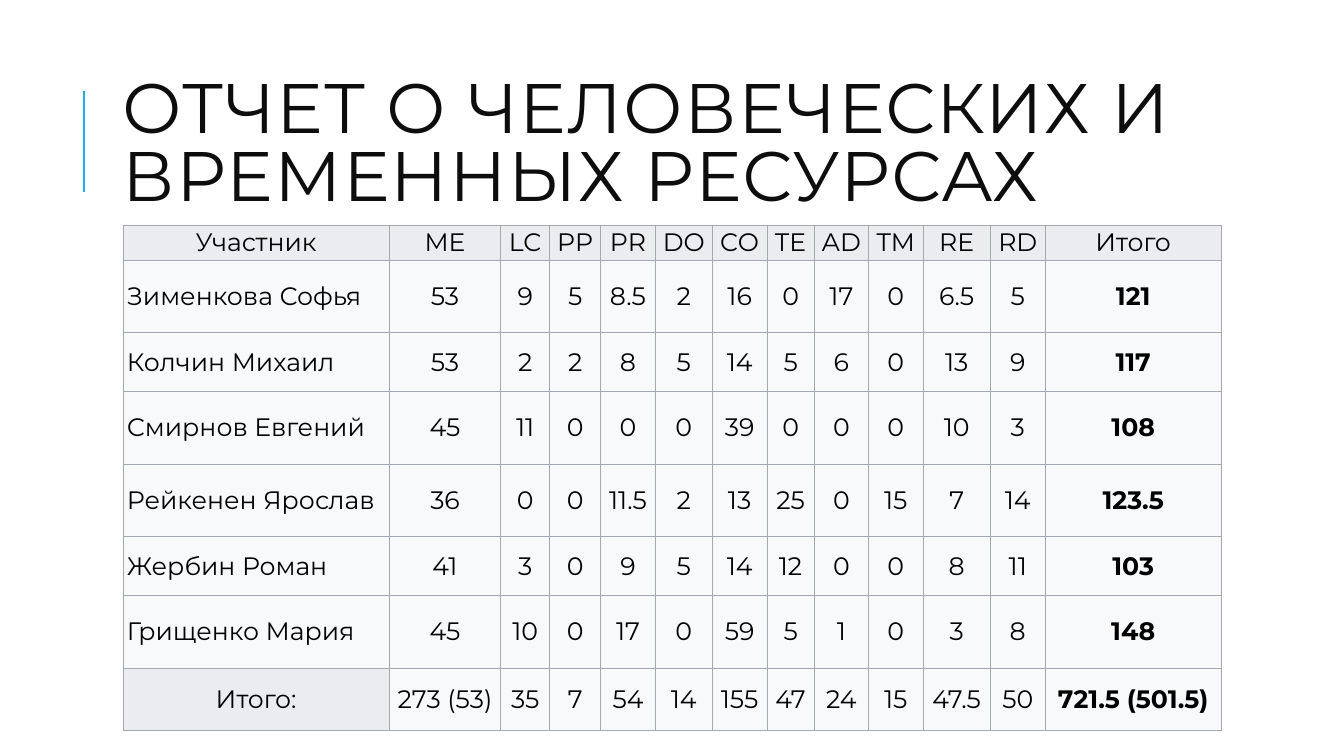
"""Build the slide reporting people and time resources."""
import lxml.etree
import pptx
import pptx.dml.color
import pptx.enum.shapes
import pptx.enum.text
import pptx.oxml
import pptx.oxml.ns
import pptx.util

Cm, Pt = pptx.util.Cm, pptx.util.Pt
ALIGN = pptx.enum.text.PP_ALIGN
MID = pptx.enum.text.MSO_ANCHOR.MIDDLE

TITLE = "ОТЧЕТ О ЧЕЛОВЕЧЕСКИХ И ВРЕМЕННЫХ РЕСУРСАХ"
HEAD = ["Участник", "ME", "LC", "PP", "PR", "DO", "CO", "TE", "AD", "TM", "RE", "RD", "Итого"]
PEOPLE = [
    ["Зименкова Софья", 53, 9, 5, 8.5, 2, 16, 0, 17, 0, 6.5, 5, 121],
    ["Колчин Михаил", 53, 2, 2, 8, 5, 14, 5, 6, 0, 13, 9, 117],
    ["Смирнов Евгений", 45, 11, 0, 0, 0, 39, 0, 0, 0, 10, 3, 108],
    ["Рейкенен Ярослав", 36, 0, 0, 11.5, 2, 13, 25, 0, 15, 7, 14, 123.5],
    ["Жербин Роман", 41, 3, 0, 9, 5, 14, 12, 0, 0, 8, 11, 103],
    ["Грищенко Мария", 45, 10, 0, 17, 0, 59, 5, 1, 0, 3, 8, 148],
]
TOTAL = ["Итого:", "273 (53)", 35, 7, 54, 14, 155, 47, 24, 15, 47.5, 50, "721.5 (501.5)"]
ROWS = [HEAD, *PEOPLE, TOTAL]
WIDTHS = [6.71, 2.81, 1.23, 1.29, 1.37, 1.44, 1.38, 1.19, 1.37, 1.37, 1.7, 1.38, 4.44]
HEIGHTS = [0.84, 1.83, 1.48, 1.83, 1.83, 1.48, 1.83, 1.57]
HEX = {"title": "0D0D0D", "text": "000000", "head": "EAECF0", "body": "F8F9FA",
       "grid": "A2A9B1", "mark": "1CADE4"}
RGB = {name: pptx.dml.color.RGBColor.from_string(code) for name, code in HEX.items()}
FONT = "Montserrat"
CELL = {"margin_left": Cm(0.1), "margin_right": Cm(0.1), "margin_top": Cm(0.05),
        "margin_bottom": Cm(0.05), "vertical_anchor": MID}
PLAIN = {"first_row": False, "horz_banding": False}


def put(item, values):
    """Set each named attribute of an item."""
    for name, value in values.items():
        setattr(item, name, value)


def write(para, text, size, tint, bold=False):
    """Add one formatted run to a paragraph."""
    run = para.add_run()
    run.text = text
    put(run.font, {"name": FONT, "size": Pt(size), "bold": bold})
    run.font.color.rgb = RGB[tint]
    return run


def frame(cell):
    """Draw thin lines on all four sides of a cell."""
    props = cell._tc.get_or_add_tcPr()
    for side in "LRTB":
        props.append(pptx.oxml.parse_xml(
            f'<a:ln{side} {pptx.oxml.ns.nsdecls("a")} w="{Pt(0.5)}"><a:solidFill>'
            f'<a:srgbClr val="{HEX["grid"]}"/></a:solidFill></a:ln{side}>'))


def add_title(slide):
    """Place the heading and the line to its left."""
    title = slide.shapes.title
    put(title, {"left": Cm(2.84), "top": Cm(1.63), "width": Cm(27), "height": Cm(4.17)})
    put(title.text_frame, {"word_wrap": True, "vertical_anchor": MID,
                           "auto_size": pptx.enum.text.MSO_AUTO_SIZE.NONE})
    para = title.text_frame.paragraphs[0]
    put(para, {"alignment": ALIGN.LEFT, "line_spacing": 0.8})
    run = write(para, TITLE, 50, "title")
    run.font._element.set("spc", "100")

    mark = slide.shapes.add_connector(
        pptx.enum.shapes.MSO_CONNECTOR.STRAIGHT, Cm(2.11), Cm(4.83), Cm(2.11), Cm(2.29))
    mark.line.color.rgb = RGB["mark"]
    mark.line.width = Pt(1.5)
    lxml.etree.SubElement(mark._element.spPr, pptx.oxml.ns.qn("a:effectLst"))


def add_hours(slide):
    """Place the table of hours by person and task."""
    table = slide.shapes.add_table(
        len(ROWS), len(HEAD), Cm(3.1), Cm(5.68), Cm(sum(WIDTHS)), Cm(sum(HEIGHTS))).table
    put(table, PLAIN)
    for col, width in zip(table.columns, WIDTHS):
        col.width = Cm(width)
    last = len(ROWS) - 1
    for r, (line, height) in enumerate(zip(ROWS, HEIGHTS)):
        table.rows[r].height = Cm(height)
        for c, value in enumerate(line):
            cell = table.cell(r, c)
            label = r == 0 or (r == last and c == 0)
            name = c == 0 and not label
            put(cell, CELL)
            frame(cell)
            cell.fill.solid()
            cell.fill.fore_color.rgb = RGB["head" if label else "body"]
            para = cell.text_frame.paragraphs[0]
            para.alignment = ALIGN.LEFT if name else ALIGN.CENTER
            write(para, str(value), 18, "text", bold=r > 0 and c == len(HEAD) - 1)


def main():
    """Make the deck and save it."""
    deck = pptx.Presentation()
    put(deck, {"slide_width": Cm(33.87), "slide_height": Cm(19.05)})
    slide = deck.slides.add_slide(deck.slide_layouts[5])
    add_title(slide)
    add_hours(slide)
    deck.save("out.pptx")


if __name__ == "__main__":
    main()
